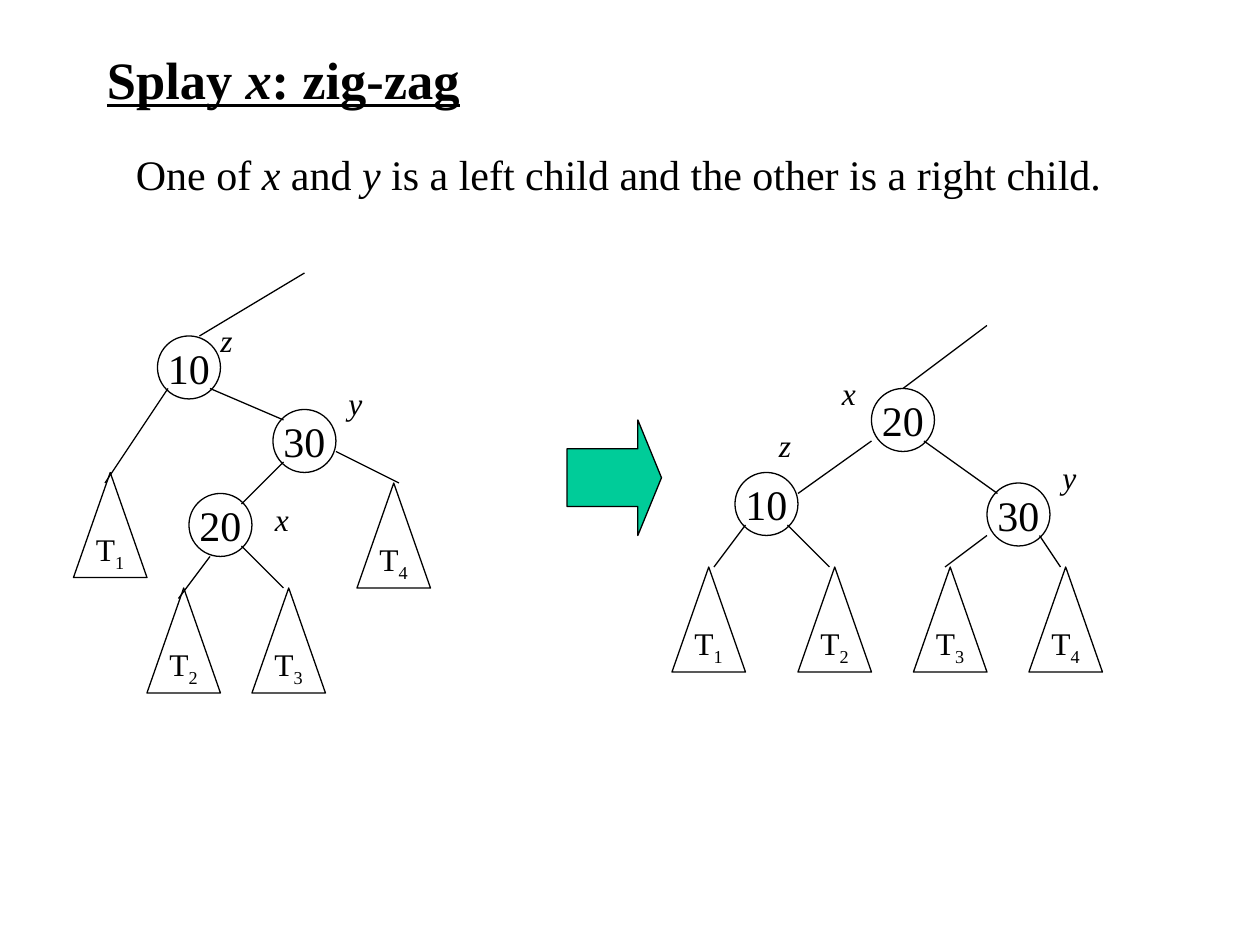
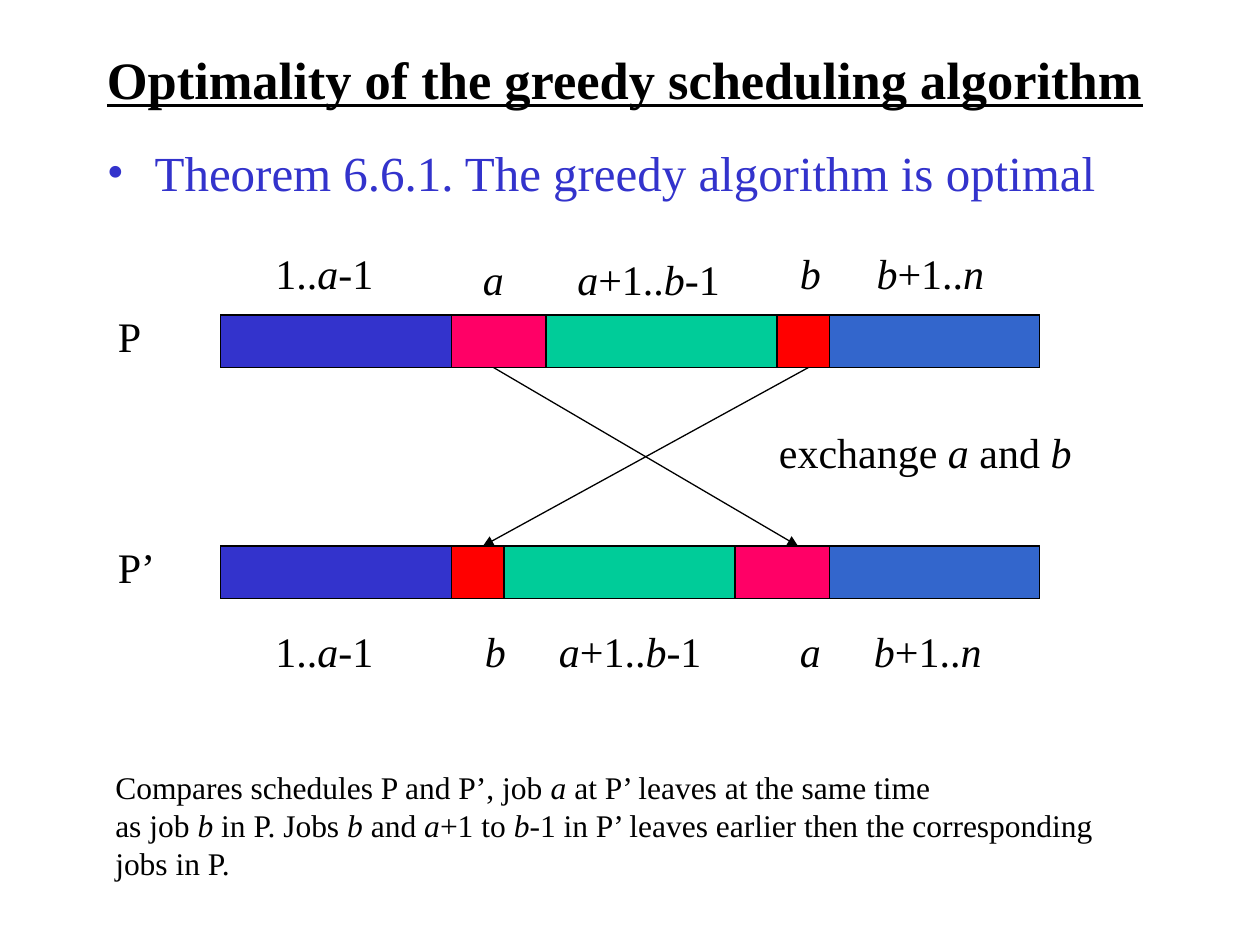
from dataclasses import dataclass
from itertools import accumulate

from lxml.etree import SubElement
from pptx import Presentation
from pptx.dml.color import RGBColor
from pptx.enum.shapes import MSO_CONNECTOR, MSO_SHAPE
from pptx.enum.text import MSO_ANCHOR as Anchor, PP_ALIGN as Align
from pptx.oxml.ns import qn
from pptx.util import Inches, Pt

COLUMNS, ROWS = 120, 90  # square grid cells over the whole slide


@dataclass(frozen=True)
class Theme:
    """Colours, font and type sizes of the deck."""
    font: str = "Times New Roman"
    ink: str = "000000"
    paper: str = "FFFFFF"
    blue: str = "3333CC"
    sky: str = "3366CC"
    pink: str = "FF0066"
    red: str = "FF0000"
    green: str = "00CC99"
    title: float = 30
    theorem: float = 28
    text: float = 24
    small: float = 18
    line: float = 0.75


@dataclass(frozen=True)
class Spot:
    """A text, the grid cell of its upper left corner and its width."""
    text: str
    col: float
    row: float
    cols: float = 4.5


@dataclass(frozen=True)
class Tree:
    """A search tree: nodes, subtrees, pointer names and edges."""
    nodes: tuple[Spot, ...]
    subtrees: tuple[Spot, ...]
    pointers: tuple[Spot, ...]
    edges: tuple[tuple[float, float, float, float], ...]


@dataclass(frozen=True)
class Job:
    """A stretch of jobs in a schedule."""
    columns: int
    color: str


@dataclass(frozen=True)
class Schedule:
    """A schedule bar with its name and the labels of its jobs."""
    name: Spot
    row: float
    jobs: tuple[Job, ...]
    labels: tuple[Spot, ...]


THEME = Theme()
prs = Presentation()
prs.slide_width, prs.slide_height = Inches(10), Inches(7.5)


def x(col: float) -> int:
    """Turn grid columns into a length."""
    return round(prs.slide_width * col / COLUMNS)


def y(row: float) -> int:
    """Turn grid rows into a length."""
    return round(prs.slide_height * row / ROWS)


def add_run(paragraph, text: str, size: float, color: str = THEME.ink, italic: bool = False):
    """Add one run in the deck's font and return it."""
    run = paragraph.add_run()
    run.text = text
    run.font.name, run.font.size, run.font.italic = THEME.font, Pt(size), italic
    run.font.color.rgb = RGBColor.from_string(color)
    return run


def add_marked(paragraph, text: str, size: float, color: str = THEME.ink) -> None:
    """Add text whose parts between asterisks are italic."""
    for index, part in enumerate(text.split("*")):
        if part:
            add_run(paragraph, part, size, color, italic=index % 2 == 1)


def add_text(slide, spot: Spot, rows: float = 6, size: float = THEME.text,
             color: str = THEME.ink, wrap: bool = False):
    """Add a text box with one paragraph per line and return its frame."""
    box = slide.shapes.add_textbox(x(spot.col), y(spot.row), x(spot.cols), y(rows))
    frame = box.text_frame
    frame.word_wrap = wrap
    for index, line in enumerate(spot.text.split("\n")):
        paragraph = frame.add_paragraph() if index else frame.paragraphs[0]
        add_marked(paragraph, line, size, color)
    return frame


def add_figure(slide, kind: MSO_SHAPE, col: float, row: float, cols: float, rows: float,
               color: str = THEME.paper):
    """Add a filled, outlined preset shape."""
    figure = slide.shapes.add_shape(kind, x(col), y(row), x(cols), y(rows))
    figure.shadow.inherit = False
    figure.fill.solid()
    figure.fill.fore_color.rgb = RGBColor.from_string(color)
    figure.line.color.rgb = RGBColor.from_string(THEME.ink)
    figure.line.width = Pt(THEME.line)
    return figure


def centre_text(figure):
    """Prepare a shape for one centred line and return its paragraph."""
    frame = figure.text_frame
    frame.word_wrap, frame.vertical_anchor = False, Anchor.MIDDLE
    frame.paragraphs[0].alignment = Align.CENTER
    return frame.paragraphs[0]


def add_edge(slide, ends: tuple[float, float, float, float], arrow: bool = False) -> None:
    """Draw a thin line between two grid points, with an arrowhead if asked."""
    col1, row1, col2, row2 = ends
    edge = slide.shapes.add_connector(MSO_CONNECTOR.STRAIGHT, x(col1), y(row1), x(col2), y(row2))
    edge.line.color.rgb = RGBColor.from_string(THEME.ink)
    edge.line.width = Pt(THEME.line)
    if arrow:
        SubElement(edge.line._get_or_add_ln(), qn("a:tailEnd"), type="triangle")
    SubElement(edge._element.spPr, qn("a:effectLst"))


def add_titled_slide(title: str, cols: float):
    """Add a blank slide with the underlined title."""
    slide = prs.slides.add_slide(prs.slide_layouts[6])
    frame = add_text(slide, Spot(title, 9, 4, cols), 7, THEME.title, wrap=True)
    frame.vertical_anchor = Anchor.MIDDLE
    for run in frame.paragraphs[0].runs:
        run.font.bold = run.font.underline = True
    return slide


def draw_tree(slide, tree: Tree) -> None:
    """Draw a tree with its subtrees, edges and pointer names."""
    for node in tree.nodes:
        circle = add_figure(slide, MSO_SHAPE.OVAL, node.col, node.row, 6, 6)
        add_run(centre_text(circle), node.text, THEME.text)
    for subtree in tree.subtrees:
        triangle = add_figure(slide, MSO_SHAPE.ISOSCELES_TRIANGLE, subtree.col, subtree.row, 7, 10)
        paragraph = centre_text(triangle)
        add_run(paragraph, "T", THEME.small)
        index = add_run(paragraph, subtree.text, THEME.small)
        index.font._element.set("baseline", "-25000")
    for edge in tree.edges:
        add_edge(slide, edge)
    for pointer in tree.pointers:
        add_text(slide, pointer, 4.8, THEME.small, wrap=True)


def draw_schedule(slide, schedule: Schedule) -> None:
    """Draw a schedule: a bar for all jobs, with the others laid over the middle ones."""
    left, height = 21, 5
    widths = [job.columns for job in schedule.jobs]
    starts = accumulate(widths[:-1], initial=left)
    add_figure(slide, MSO_SHAPE.RECTANGLE, left, schedule.row, sum(widths), height, MIDDLE.color)
    for job, start in zip(schedule.jobs, starts):
        if job != MIDDLE:
            add_figure(slide, MSO_SHAPE.RECTANGLE, start, schedule.row, job.columns, height, job.color)
    for label in (schedule.name, *schedule.labels):
        add_text(slide, label)


# Slide 1: the zig-zag rotation
BEFORE = Tree(
    nodes=(Spot("10", 15, 32), Spot("30", 26, 39), Spot("20", 18, 47)),
    subtrees=(Spot("1", 7, 45), Spot("2", 14, 56), Spot("3", 24, 56), Spot("4", 34, 46)),
    pointers=(Spot("*z*", 19.8, 30), Spot("*y*", 32, 36), Spot("*x*", 25, 47)),
    edges=((19, 32, 29, 26), (16, 37, 10, 46), (20, 37, 27, 40), (27, 44, 23, 48),
           (32, 43, 38, 46), (20, 53, 17, 57), (23, 52, 27, 56)),
)
AFTER = Tree(
    nodes=(Spot("20", 83, 37), Spot("10", 70, 45), Spot("30", 94, 46)),
    subtrees=tuple(Spot(str(i), col, 54) for i, col in enumerate((64, 76, 87, 98), 1)),
    pointers=(Spot("*x*", 79, 35), Spot("*z*", 73, 40), Spot("*y*", 100, 43)),
    edges=((86, 37, 94, 31), (76, 47, 83, 42), (88, 42, 95, 47), (71, 50, 68, 54),
           (75, 50, 79, 54), (94, 51, 90, 54), (99, 51, 101, 54)),
)
zigzag = add_titled_slide("Splay *x*: zig-zag", 81)
add_text(zigzag, Spot("One of *x* and *y* is a left child and the other is a right child.",
                      11.76, 13.56, 97))
draw_tree(zigzag, BEFORE)
draw_tree(zigzag, AFTER)
rotation = add_figure(zigzag, MSO_SHAPE.RIGHT_ARROW, 54, 40, 9, 11, THEME.green)
rotation.adjustments[1] = 0.25

# Slide 2: the exchange argument
FIRST, MIDDLE, LAST = Job(22, THEME.blue), Job(22, THEME.green), Job(20, THEME.sky)
JOB_A, JOB_B = Job(9, THEME.pink), Job(5, THEME.red)
SCHEDULES = (
    Schedule(Spot("P", 10.05, 29, 5), 30, (FIRST, JOB_A, MIDDLE, JOB_B, LAST),
             (Spot("1..*a*-1", 25.05, 23, 13), Spot("*a*", 44.8, 23.55),
              Spot("*a*+1..*b*-1", 53.8, 23.55, 17), Spot("*b*", 75, 23),
              Spot("*b*+1..*n*", 82.3, 23, 14))),
    Schedule(Spot("P’", 10.05, 51, 7), 52, (FIRST, JOB_B, MIDDLE, JOB_A, LAST),
             (Spot("1..*a*-1", 25.05, 59, 13), Spot("*b*", 45, 59),
              Spot("*a*+1..*b*-1", 52.05, 59, 17), Spot("*a*", 75, 59),
              Spot("*b*+1..*n*", 82.05, 59, 14))),
)
optimality = add_titled_slide("Optimality of the greedy scheduling algorithm", 107)
theorem = add_text(optimality, Spot("Theorem 6.6.1. The greedy algorithm is optimal", 9, 13, 102),
                   67, THEME.theorem, THEME.blue, wrap=True).paragraphs[0]
theorem.space_before = Pt(7)
bullet = theorem._p.get_or_add_pPr()
bullet.set("marL", str(Inches(0.38)))
bullet.set("indent", str(-Inches(0.38)))
SubElement(bullet, qn("a:buFont"), typeface=THEME.font)
SubElement(bullet, qn("a:buChar"), char="•")
for schedule in SCHEDULES:
    draw_schedule(optimality, schedule)
for swap in ((77, 35, 46, 52), (47, 35, 76, 52)):
    add_edge(optimality, swap, arrow=True)
add_text(optimality, Spot("exchange *a* and *b*", 73, 40, 33))
add_text(optimality, Spot(
    "Compares schedules P and P’, job *a* at P’ leaves at the same time\n"
    "as job *b* in P. Jobs *b* and *a*+1 to *b*-1 in P’ leaves earlier then the corresponding\n"
    "jobs in P.", 9.8, 72.55, 98), 12, THEME.small)

prs.save("out.pptx")
